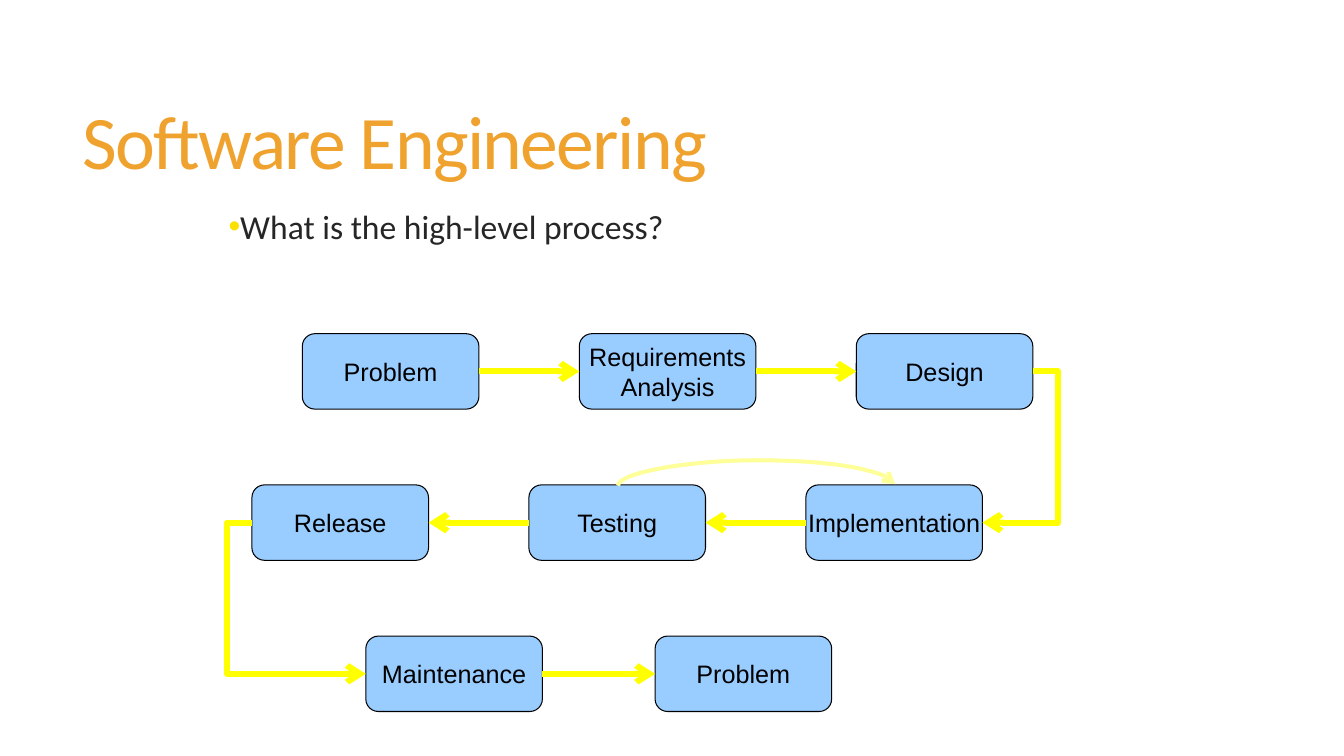
from lxml import etree
from pptx import Presentation
from pptx import util as u
from pptx.dml.color import RGBColor
from pptx.enum import shapes, text
from pptx.oxml.ns import qn

COLOURS = {
    "title": "F0A22E",
    "body": "262626",
    "bullet": "FAE101",
    "step": "99CCFF",
    "ink": "000000",
    "flow": "FFFF00",
    "loop": "FFFF99",
}
STEP_W, STEP_H = 4.45, 1.9
ROW_TOP, ROW_PITCH = 8.41, 3.81
TOP, LEFT, BOTTOM, RIGHT = range(4)

# Per row: left edge, column pitch, steps from left to right
ROWS = [
    (7.62, 6.98, ["Problem", "Requirements\nAnalysis", "Design"]),
    (6.35, 6.98, ["Release", "Testing", "Implementation"]),
    (9.22, 7.29, ["Maintenance", "Problem"]),
]


def colour(name):
    return RGBColor.from_string(COLOURS[name])


def add_run(paragraph, words, font_name, size, ink):
    run = paragraph.add_run()
    run.text = words
    run.font.name = font_name
    run.font.size = u.Pt(size)
    run.font.color.rgb = colour(ink)
    return run


def add_text_line(slide, box, words, size, ink, anchor):
    frame = slide.shapes.add_textbox(*map(u.Cm, box)).text_frame
    frame.word_wrap = True
    frame.vertical_anchor = anchor
    line = frame.paragraphs[0]
    line.line_spacing = 0.85
    return line, add_run(line, words, "Calibri", size, ink)


def add_bullet(paragraph):
    props = paragraph._p.get_or_add_pPr()
    props.set("marL", str(u.Cm(0.25)))
    props.set("indent", str(u.Cm(-0.25)))
    bullet_colour = etree.SubElement(props, qn("a:buClr"))
    etree.SubElement(bullet_colour, qn("a:srgbClr"), val=COLOURS["bullet"])
    etree.SubElement(props, qn("a:buFont"), typeface="Arial")
    etree.SubElement(props, qn("a:buChar"), char="•")


def add_step(slide, left, top, label):
    step = slide.shapes.add_shape(
        shapes.MSO_SHAPE.ROUNDED_RECTANGLE,
        u.Cm(left), u.Cm(top), u.Cm(STEP_W), u.Cm(STEP_H))
    step.shadow.inherit = False
    step.fill.solid()
    step.fill.fore_color.rgb = colour("step")
    step.line.color.rgb = colour("ink")
    step.line.width = u.Pt(0)
    frame = step.text_frame
    frame.word_wrap = False
    frame.vertical_anchor = text.MSO_ANCHOR.MIDDLE
    for i, words in enumerate(label.split("\n")):
        line = frame.paragraphs[0] if i == 0 else frame.add_paragraph()
        line.alignment = text.PP_ALIGN.CENTER
        add_run(line, words, "Arial", 18, "ink")
    return step


def side_middle(step, side):
    across = {TOP: 0.5, LEFT: 0, BOTTOM: 0.5, RIGHT: 1}[side]
    down = {TOP: 0, LEFT: 0.5, BOTTOM: 1, RIGHT: 0.5}[side]
    return (step.left + int(step.width * across),
            step.top + int(step.height * down))


def add_arrow(slide, kind, start, end, ink, width, bend=None):
    arrow = slide.shapes.add_connector(kind, *start, *end)
    arrow.line.color.rgb = colour(ink)
    arrow.line.width = u.Pt(width)
    etree.SubElement(arrow.line._get_or_add_ln(), qn("a:tailEnd"), type="arrow")
    props = arrow._element.spPr
    etree.SubElement(props, qn("a:effectLst"))
    if bend is not None:
        guides = props.find(qn("a:prstGeom")).get_or_add_avLst()
        etree.SubElement(guides, qn("a:gd"), name="adj1",
                         fmla=f"val {round(bend * 100000)}")
    return arrow


def add_straight_flow(slide, source, target):
    if source.left < target.left:
        out_side, in_side = RIGHT, LEFT
    else:
        out_side, in_side = LEFT, RIGHT
    arrow = add_arrow(slide, shapes.MSO_CONNECTOR.STRAIGHT,
                      side_middle(source, out_side),
                      side_middle(target, in_side), "flow", 4.31)
    arrow.begin_connect(source, out_side)
    arrow.end_connect(target, in_side)


def add_row_change(slide, source, target, side):
    """Bent arrow that leaves and enters on the same side of two rows."""
    start, end = side_middle(source, side), side_middle(target, side)
    bend = -u.Cm(0.64) / abs(end[0] - start[0])
    add_arrow(slide, shapes.MSO_CONNECTOR.ELBOW, start, end, "flow", 4.31, bend)


def add_loop(slide, source, target):
    """Arc over the tops of two steps: an upright curve turned by 90 degrees."""
    (x1, y), (x2, _) = side_middle(source, TOP), side_middle(target, TOP)
    middle, half, thickness = (x1 + x2) // 2, (x2 - x1) // 2, u.Cm(0.04)
    loop = add_arrow(slide, shapes.MSO_CONNECTOR.CURVE,
                     (middle + thickness, y + half), (middle, y - half),
                     "loop", 2.89, u.Cm(0.64) / thickness)
    loop._element.spPr.find(qn("a:xfrm")).set("rot", str(90 * 60000))


def main():
    deck = Presentation()
    deck.slide_width, deck.slide_height = u.Cm(33.87), u.Cm(19.05)
    slide = deck.slides.add_slide(deck.slide_layouts[6])

    # Title and question
    _, title = add_text_line(slide, (1.83, 2.57, 29.92, 2.24),
                             "Software Engineering", 54, "title",
                             text.MSO_ANCHOR.MIDDLE)
    title._r.get_or_add_rPr().set("spc", "-120")
    question, _ = add_text_line(slide, (5.51, 5.21, 22.86, 1.14),
                                "What is the high-level process?", 24, "body",
                                text.MSO_ANCHOR.TOP)
    add_bullet(question)

    # Process steps
    upper, middle, lower = [
        [add_step(slide, left + col * pitch, ROW_TOP + row * ROW_PITCH, label)
         for col, label in enumerate(labels)]
        for row, (left, pitch, labels) in enumerate(ROWS)]

    # Flow along each row, the middle one running right to left
    for steps in (upper, middle[::-1], lower):
        for source, target in zip(steps, steps[1:]):
            add_straight_flow(slide, source, target)

    # Flow between rows, and the loop from testing to implementation
    release, testing, implementation = middle
    add_row_change(slide, upper[-1], implementation, RIGHT)
    add_row_change(slide, release, lower[0], LEFT)
    add_loop(slide, testing, implementation)

    deck.save("out.pptx")


if __name__ == "__main__":
    main()
